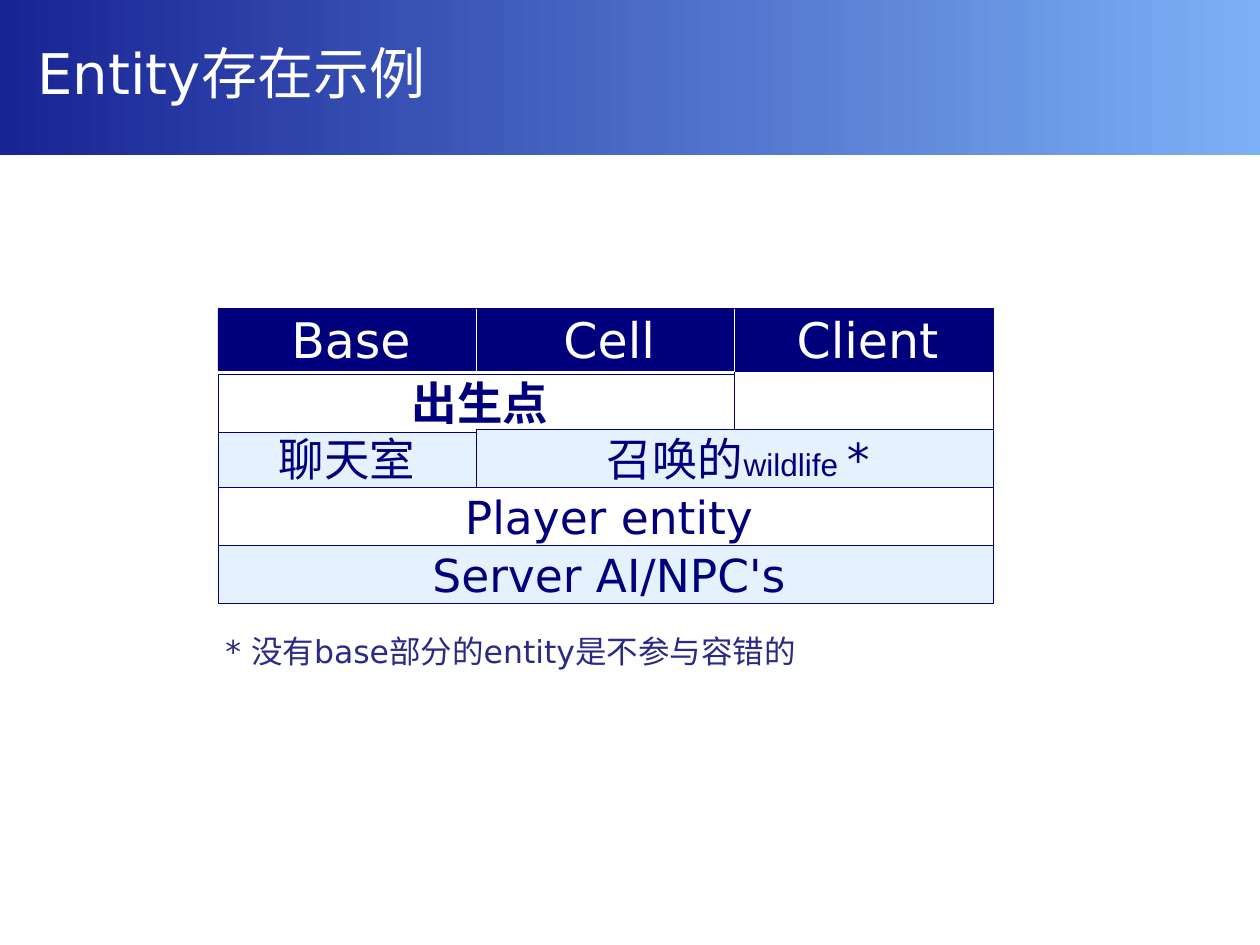
from lxml.etree import SubElement
from pptx import Presentation
from pptx.dml.color import RGBColor
from pptx.enum.shapes import MSO_CONNECTOR, MSO_SHAPE
from pptx.enum.text import MSO_ANCHOR, PP_ALIGN
from pptx.oxml.ns import qn
from pptx.util import Inches, Pt

NAVY = RGBColor(0x00, 0x00, 0x7D)
PALE = RGBColor(0xE6, 0xF1, 0xFE)
WHITE = RGBColor(0xFF, 0xFF, 0xFF)
BANNER_DARK = RGBColor(0x18, 0x24, 0x94)
BANNER_LIGHT = RGBColor(0x7C, 0xB0, 0xF6)
NOTE_BLUE = RGBColor(0x2B, 0x2B, 0x85)

LEFT, HEADER_TOP, BODY_TOP = 1.73, 2.45, 2.95
COLUMN, HEADER_HEIGHT, ROW = 2.05, 0.49, 0.46


class EntitySlide:
    """Draws the entity diagram on one page in a shared style."""

    def __init__(self, page, font="DejaVu Sans"):
        self.page = page
        self.font = font

    def fill_text(self, frame, spans, color, margins, align=PP_ALIGN.LEFT, anchor=MSO_ANCHOR.TOP):
        frame.word_wrap = True
        frame.vertical_anchor = anchor
        frame.margin_left, frame.margin_top, frame.margin_right, frame.margin_bottom = map(Inches, margins)
        para = frame.paragraphs[0]
        para.alignment = align
        for text, size, font, bold in spans:
            span = para.add_run()
            span.text = text
            span.font.size = Pt(size)
            span.font.name = font or self.font
            span.font.bold = bold
            span.font.color.rgb = color

    def box(self, left, top, width, height):
        box = self.page.shapes.add_shape(
            MSO_SHAPE.RECTANGLE, Inches(left), Inches(top), Inches(width), Inches(height))
        box.shadow.inherit = False
        return box

    def banner(self, width, height):
        box = self.box(0, 0, width, height)
        box.line.fill.background()
        box.fill.gradient()
        box.fill.gradient_angle = 0
        for stop, color in zip(box.fill.gradient_stops, (BANNER_DARK, BANNER_LIGHT)):
            stop.color.rgb = color

    def cell(self, column, columns, top, height, fill, color, spans, inset=0.06):
        box = self.box(LEFT + column * COLUMN, top, columns * COLUMN, height)
        box.fill.solid()
        box.fill.fore_color.rgb = fill
        box.line.color.rgb = NAVY
        box.line.width = Pt(0.25)
        self.fill_text(box.text_frame, spans, color, (inset, 0.01, 0, 0.01), PP_ALIGN.CENTER)

    def text(self, left, top, width, height, text, size, color, anchor=MSO_ANCHOR.TOP):
        box = self.page.shapes.add_textbox(Inches(left), Inches(top), Inches(width), Inches(height))
        self.fill_text(box.text_frame, [(text, size, None, None)], color, (0.1, 0.05, 0.1, 0.05), anchor=anchor)

    def divider(self, x):
        line = self.page.shapes.add_connector(
            MSO_CONNECTOR.STRAIGHT, Inches(x), Inches(BODY_TOP), Inches(x), Inches(HEADER_TOP))
        line.line.color.rgb = WHITE
        line.line.width = Pt(0.75)
        SubElement(line._element.spPr, qn("a:effectLst"))


def main():
    deck = Presentation()
    deck.slide_width, deck.slide_height = Inches(10), Inches(7.5)
    slide = EntitySlide(deck.slides.add_slide(deck.slide_layouts[6]))

    slide.banner(10, 1.23)
    slide.text(0.2, 0, 9.57, 1.15, "Entity存在示例", 32, WHITE, MSO_ANCHOR.MIDDLE)

    for column, name in enumerate(("Base", "Cell", "Client")):
        slide.cell(column, 1, HEADER_TOP, HEADER_HEIGHT, NAVY, WHITE, [(name, 28, None, None)])

    wildlife = [("召唤的", 26, None, None), ("wildlife ", 18, "Arial", None), ("*", 26, None, None)]
    slide.cell(0, 1, BODY_TOP + ROW, ROW, PALE, NAVY, [("聊天室", 26, None, None)], inset=0)
    slide.cell(2, 1, BODY_TOP, ROW, WHITE, NAVY, [])
    slide.cell(0, 2, BODY_TOP + 0.02, ROW, WHITE, NAVY, [("出生点", 26, "Courier New", True)])
    slide.cell(1, 2, BODY_TOP + ROW, ROW, PALE, NAVY, wildlife)
    slide.cell(0, 3, BODY_TOP + 2 * ROW, ROW, WHITE, NAVY, [("Player entity", 26, None, None)])
    slide.cell(0, 3, BODY_TOP + 3 * ROW, ROW, PALE, NAVY, [("Server AI/NPC's", 26, None, None)])

    for column in (1, 2):
        slide.divider(LEFT + column * COLUMN)
    slide.text(1.69, 4.97, 7.21, 0.4, "* 没有base部分的entity是不参与容错的", 18, NOTE_BLUE)

    deck.save("out.pptx")


if __name__ == "__main__":
    main()
